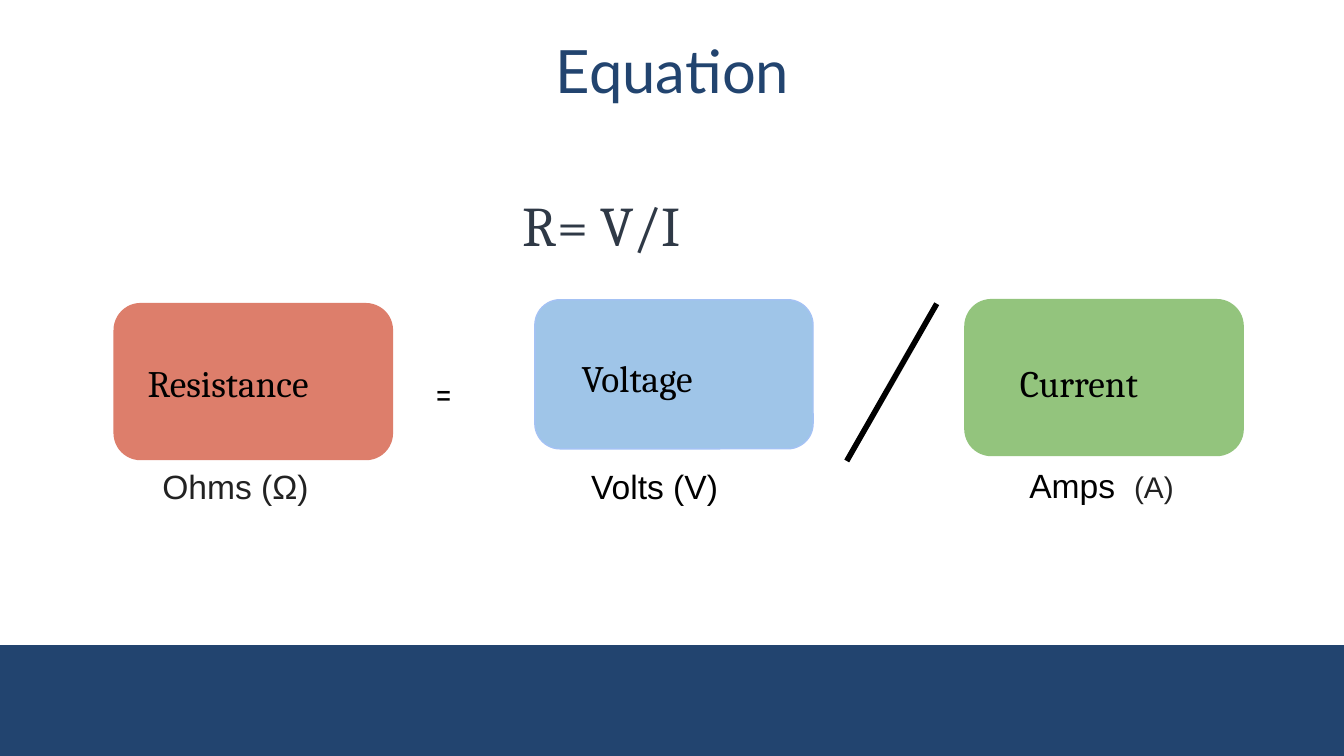
from lxml.etree import SubElement
from pptx import Presentation
from pptx.dml.color import RGBColor
from pptx.enum.shapes import MSO_CONNECTOR, MSO_SHAPE
from pptx.enum.text import MSO_ANCHOR, PP_ALIGN
from pptx.oxml.ns import qn
from pptx.util import Inches, Pt

NAVY = RGBColor(0x22, 0x44, 0x6F)
SLATE = RGBColor(0x2F, 0x39, 0x46)
BLACK = RGBColor(0x00, 0x00, 0x00)
CHARCOAL = RGBColor(0x22, 0x22, 0x22)
RED = RGBColor(0xDD, 0x7E, 0x6B)
BLUE = RGBColor(0x9F, 0xC5, 0xE8)
BLUE_EDGE = RGBColor(0xA4, 0xC2, 0xF4)
GREEN = RGBColor(0x93, 0xC4, 0x7D)

SLIDE_WIDTH = 10
SLIDE_HEIGHT = SLIDE_WIDTH * 9 / 16
CARD_WIDTH = 2.07


def style_run(run, font, size, color):
    """Set the font, size and colour of a run."""
    run.font.name = font
    run.font.size = Pt(size)
    run.font.color.rgb = color


def add_text(slide, text, box, font="Arial", size=18, color=BLACK, inset=0.1,
             align=PP_ALIGN.LEFT, anchor=MSO_ANCHOR.TOP, line_spacing=None,
             tab=None):
    """Place one formatted line of text in a box and return its paragraph."""
    frame = slide.shapes.add_textbox(*map(Inches, box)).text_frame
    frame.word_wrap = True
    frame.vertical_anchor = anchor
    frame.margin_left = frame.margin_right = Inches(inset)
    frame.margin_top = frame.margin_bottom = Inches(inset)
    paragraph = frame.paragraphs[0]
    paragraph.alignment = align
    paragraph.line_spacing = line_spacing
    if tab:
        stops = SubElement(paragraph._p.get_or_add_pPr(), qn("a:tabLst"))
        SubElement(stops, qn("a:tab"), pos=str(Inches(tab)), algn="l")
    run = paragraph.add_run()
    run.text = text
    style_run(run, font, size, color)
    return paragraph


def add_footer_band(slide, box):
    """Draw the plain band along the foot of the slide."""
    band = slide.shapes.add_shape(MSO_SHAPE.RECTANGLE, *map(Inches, box))
    band.shadow.inherit = False
    band.fill.solid()
    band.fill.fore_color.rgb = NAVY
    band.line.fill.background()


def add_heading(slide, box):
    """Place the title and the short formula below it."""
    left, top, width, height = box
    add_text(slide, "Equation", box, font="Lato", size=32, color=NAVY, inset=0,
             align=PP_ALIGN.CENTER, anchor=MSO_ANCHOR.MIDDLE, line_spacing=0.9)
    add_text(slide, "R= V/I", (left + 2.95, top + height + 0.23, 1.48, 0.62),
             font="Cambria", size=30, color=SLATE, inset=0, line_spacing=1.15)


def add_quantity(slide, box, fill, edge, name, name_box, unit, unit_box,
                 unit_color=BLACK, unit_tab=None):
    """Draw a quantity card with its name and unit, and return the unit paragraph."""
    left, top, width, height = box
    card = slide.shapes.add_shape(MSO_SHAPE.ROUNDED_RECTANGLE, *map(Inches, box))
    card.shadow.inherit = False
    card.adjustments[0] = 0.17
    card.fill.solid()
    card.fill.fore_color.rgb = fill
    card.line.color.rgb = edge
    card.line.width = Pt(0.75)
    name_left, name_top, name_width = name_box
    add_text(slide, name, (left + name_left, top + name_top, name_width, 0.54),
             font="Cambria", size=20)
    unit_left, unit_top, unit_width = unit_box
    return add_text(slide, unit,
                    (left + unit_left, top + unit_top, unit_width, 0.5),
                    color=unit_color, tab=unit_tab)


def add_division_bar(slide, box):
    """Draw the slanted division bar from lower left to upper right."""
    left, top, width, height = box
    bar = slide.shapes.add_connector(
        MSO_CONNECTOR.STRAIGHT, Inches(left), Inches(top + height),
        Inches(left + width), Inches(top))
    bar.line.color.rgb = BLACK
    bar.line.width = Pt(3)
    SubElement(bar._element.spPr, qn("a:effectLst"))


def add_word_equation(slide, box):
    """Lay out resistance = voltage / current."""
    left, top, width, height = box
    add_quantity(slide, (left, top + 0.03, CARD_WIDTH, 1.16), RED, RED,
                 "Resistance", (0.15, 0.32, 1.8),
                 "Ohms (Ω)", (0.26, 1.11, 1.42), unit_color=CHARCOAL)
    add_text(slide, "=", (left + 2.28, top + 0.41, 0.61, 0.54),
             font="Karla", size=20)
    add_quantity(slide, (left + 3.13, top, CARD_WIDTH, 1.11), BLUE, BLUE_EDGE,
                 "Voltage", (0.25, 0.31, 1.34),
                 "Volts (V)", (0.32, 1.14, 1.16))
    add_division_bar(slide, (left + 5.45, top + 0.03, 0.67, 1.17))
    amps = add_quantity(
        slide, (left + width - CARD_WIDTH, top, CARD_WIDTH, 1.16), GREEN, GREEN,
        "Current", (0.31, 0.35, 1.66), "Amps\t", (0.38, 1.13, 1.48),
        unit_tab=0.78)
    symbol = amps.add_run()
    symbol.text = "(A)"
    style_run(symbol, "Arial", 16, CHARCOAL)


def main():
    """Build and save the equation slide."""
    deck = Presentation()
    deck.slide_width = Inches(SLIDE_WIDTH)
    deck.slide_height = Inches(SLIDE_HEIGHT)
    slide = deck.slides.add_slide(deck.slide_layouts[6])
    add_footer_band(slide, (0, 4.8, SLIDE_WIDTH, SLIDE_HEIGHT - 4.8))
    add_heading(slide, (0.94, 0, 8.13, 1.11))
    add_word_equation(slide, (0.85, 2.23, 8.4, 1.64))
    deck.save("out.pptx")


if __name__ == "__main__":
    main()
